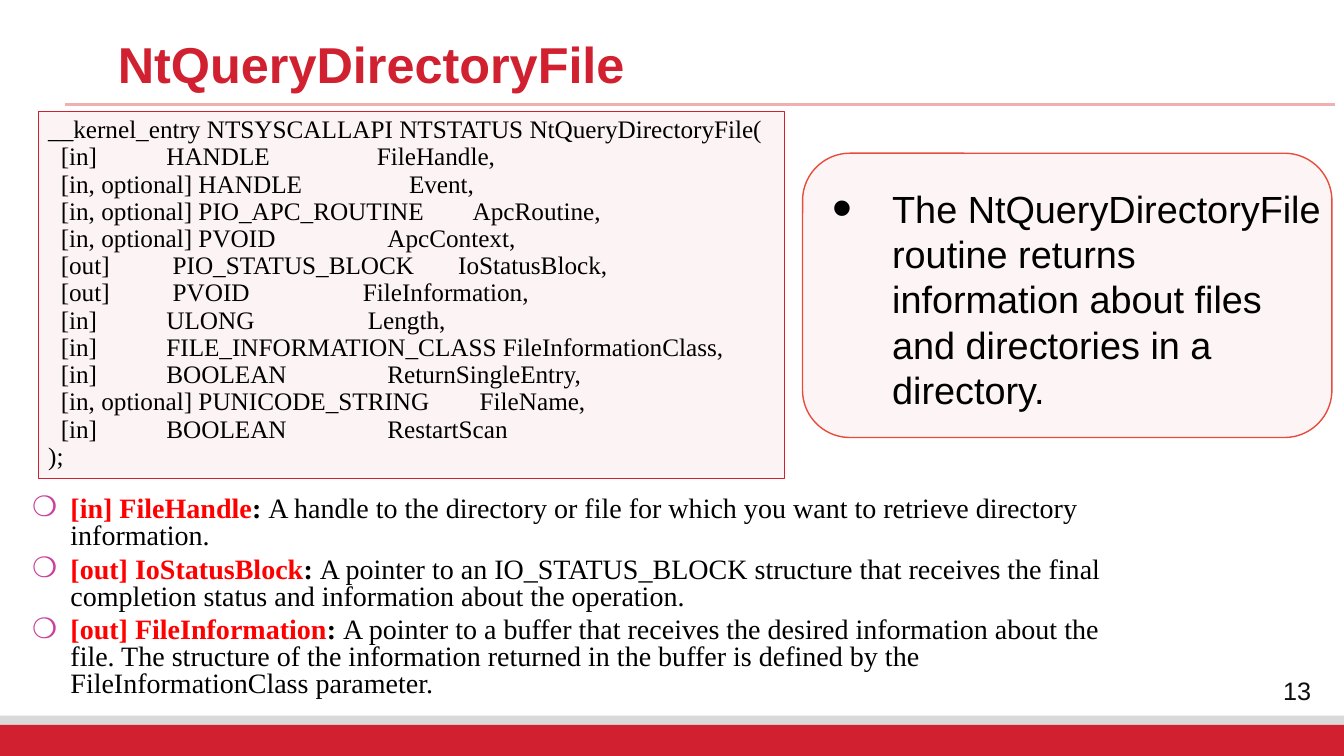
from lxml import etree
from pptx import Presentation
from pptx.dml.color import RGBColor
from pptx.enum.shapes import MSO_CONNECTOR, MSO_SHAPE
from pptx.enum.text import MSO_ANCHOR, PP_ALIGN
from pptx.oxml.ns import qn
from pptx.util import Inches, Pt

RECT, ROUNDED = MSO_SHAPE.RECTANGLE, MSO_SHAPE.ROUNDED_RECTANGLE
STRAIGHT = MSO_CONNECTOR.STRAIGHT
LEFT, CENTER = PP_ALIGN.LEFT, PP_ALIGN.CENTER
TOP, MIDDLE = MSO_ANCHOR.TOP, MSO_ANCHOR.MIDDLE
SANS, SERIF = "Arial", "Times New Roman"

COLORS = {
    "brand": "D1202F", "grey": "D9D9D9", "rule": "F0B0B0", "coral": "E74C3C",
    "black": "000000", "number": "0D0D0D", "red": "FF0000", "bullet": "CA3E9D",
}

PARAMETERS = [
    ("[in]", "HANDLE", "FileHandle,"),
    ("[in, optional]", "HANDLE", "Event,"),
    ("[in, optional]", "PIO_APC_ROUTINE", "ApcRoutine,"),
    ("[in, optional]", "PVOID", "ApcContext,"),
    ("[out]", "PIO_STATUS_BLOCK", "IoStatusBlock,"),
    ("[out]", "PVOID", "FileInformation,"),
    ("[in]", "ULONG", "Length,"),
    ("[in]", "FILE_INFORMATION_CLASS", "FileInformationClass,"),
    ("[in]", "BOOLEAN", "ReturnSingleEntry,"),
    ("[in, optional]", "PUNICODE_STRING", "FileName,"),
    ("[in]", "BOOLEAN", "RestartScan"),
]

DESCRIPTIONS = [
    ("[in] FileHandle",
     "A handle to the directory or file for which you want to retrieve "
     "directory information."),
    ("[out] IoStatusBlock",
     "A pointer to an IO_STATUS_BLOCK structure that receives the final "
     "completion status and information about the operation."),
    ("[out] FileInformation",
     "A pointer to a buffer that receives the desired information about the "
     "file. The structure of the information returned in the buffer is "
     "defined by the FileInformationClass parameter."),
]


def rgb(name):
    return RGBColor.from_string(COLORS[name])


def add_panel(slide, kind, box, fill, opacity=None, line_width=None):
    sp = slide.shapes.add_shape(kind, *map(Inches, box))
    sp.shadow.inherit = False
    sp.fill.solid()
    sp.fill.fore_color.rgb = rgb(fill)
    if opacity is not None:
        color = sp.fill._xPr.find(qn("a:solidFill"))[0]
        etree.SubElement(color, qn("a:alpha"), val=str(opacity * 1000))
    if line_width is None:
        sp.line.fill.background()
    else:
        sp.line.color.rgb = rgb(fill)
        sp.line.width = Pt(line_width)
    return sp


def add_text_frame(slide, box, anchor=TOP):
    tf = slide.shapes.add_textbox(*map(Inches, box)).text_frame
    tf.word_wrap = True
    tf.vertical_anchor = anchor
    return tf


def style(r, font, size, color, bold=False):
    r.font.name, r.font.size, r.font.bold = font, Pt(size), bold
    r.font.color.rgb = rgb(color)


def set_bullet(p, char, margin, hanging, color=None, percent=None):
    pPr = p._p.get_or_add_pPr()
    pPr.set("marL", str(Inches(margin)))
    pPr.set("indent", str(-Inches(hanging)))
    if color:
        clr = etree.SubElement(pPr, qn("a:buClr"))
        etree.SubElement(clr, qn("a:srgbClr"), val=COLORS[color])
    if percent:
        etree.SubElement(pPr, qn("a:buSzPct"), val=str(percent * 1000))
    etree.SubElement(pPr, qn("a:buFont"), typeface=SANS)
    etree.SubElement(pPr, qn("a:buChar"), char=char)


def add_footer(slide, box):
    x, y, w, h = box
    band = 0.31
    add_panel(slide, RECT, box, "grey")
    add_panel(slide, RECT, (x, y + h - band, w, band), "brand")
    # Slide number above the band, at the right
    p = add_text_frame(slide, (x + w - 0.92, y - 0.45, 0.91, 0.39), MIDDLE).paragraphs[0]
    p.text = "13"
    p.alignment = CENTER
    style(p.runs[0], SANS, 18, "number")


def add_title(slide, box):
    x, y, w, h = box
    p = add_text_frame(slide, box).paragraphs[0]
    p.text = "NtQueryDirectoryFile"
    p.line_spacing = 0.9
    style(p.runs[0], SANS, 36, "brand", True)
    # Rule under the title
    left, right, rule_y = x - 0.43, x + w + 0.8, y + h + 0.21
    rule = slide.shapes.add_connector(
        STRAIGHT, *map(Inches, (left, rule_y, right, rule_y)))
    rule.line.color.rgb = rgb("rule")
    rule.line.width = Pt(2.25)
    etree.SubElement(rule._element.spPr, qn("a:effectLst"))


def add_signature(slide, box):
    sp = add_panel(slide, RECT, box, "brand", 5, 0.75)
    tf = sp.text_frame
    tf.word_wrap = True
    tf.vertical_anchor = TOP
    lines = ["__kernel_entry NTSYSCALLAPI NTSTATUS NtQueryDirectoryFile("]
    lines += [f"  {way:<14} {kind:<22} {name}" for way, kind, name in PARAMETERS]
    lines.append(");")
    tf.text = "\n".join(lines)
    for p in tf.paragraphs:
        p.alignment = LEFT
        p.line_spacing = 0.9
        style(p.runs[0], SERIF, 18, "black")


def add_summary(slide, box):
    x, y, w, h = box
    add_panel(slide, ROUNDED, box, "coral", 5, 1)
    tf = add_text_frame(slide, (x, y + 0.27, w, 2.37))
    tf.margin_right = Inches(0.05)
    p = tf.paragraphs[0]
    p.text = ("The NtQueryDirectoryFile routine returns information about "
              "files and directories in a directory.")
    set_bullet(p, "•", 0.79, 0.59, percent=150)
    style(p.runs[0], SANS, 27, "black")


def add_descriptions(slide, box):
    tf = add_text_frame(slide, box)
    for i, (name, meaning) in enumerate(DESCRIPTIONS):
        p = tf.add_paragraph() if i else tf.paragraphs[0]
        p.line_spacing = 0.8
        p.space_after = Pt(5)
        set_bullet(p, "❍", 0.38, 0.38, color="bullet")
        for text, color, bold in ((name, "red", True), (": ", "black", True),
                                  (meaning, "black", False)):
            r = p.add_run()
            r.text = text
            style(r, SERIF, 20, color, bold)


def main():
    prs = Presentation()
    prs.slide_width, prs.slide_height = Inches(13.33), Inches(7.5)
    slide = prs.slides.add_slide(prs.slide_layouts[6])
    add_footer(slide, (0, 7.1, 13.33, 0.4))
    add_title(slide, (1.07, 0.35, 11.37, 0.48))
    add_descriptions(slide, (0.22, 4.88, 10.82, 2.12))
    add_signature(slide, (0.38, 1.11, 7.4, 3.64))
    add_summary(slide, (7.96, 1.52, 5.25, 2.82))
    prs.save("out.pptx")


if __name__ == "__main__":
    main()
